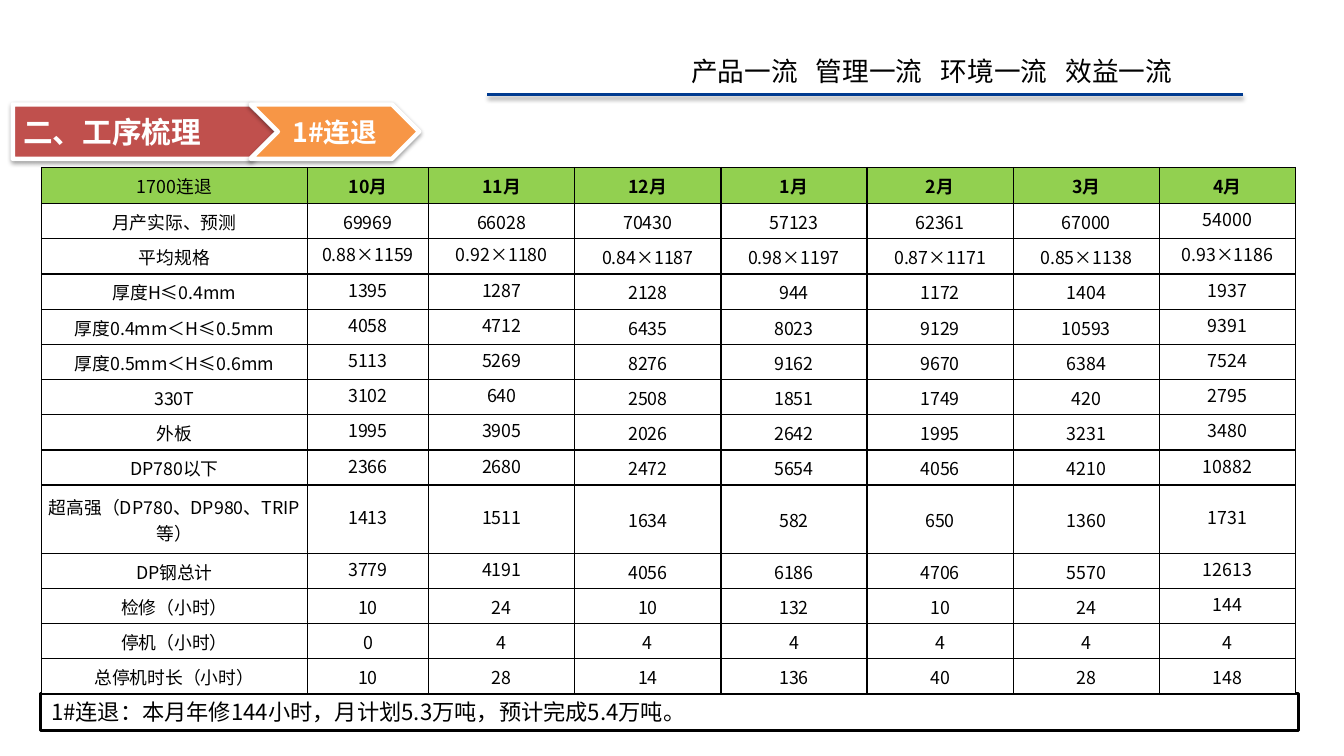
from lxml.etree import SubElement
from pptx import Presentation
from pptx.dml.color import RGBColor
from pptx.enum.shapes import MSO_CONNECTOR as Connector, MSO_SHAPE as Shape
from pptx.enum.text import MSO_ANCHOR as Anchor, MSO_AUTO_SIZE as AutoSize, PP_ALIGN as Align
from pptx.oxml.ns import qn
from pptx.util import Inches, Pt

FONT = "Noto Sans CJK SC"
COLORS = {"black": "000000", "white": "FFFFFF", "rule": "003B90",
          "section": "C0504D", "unit": "F79646", "header": "92D050"}

SLOGANS = ["产品一流", "管理一流", "环境一流", "效益一流"]
SLOGAN_PITCH = 1.17
SUMMARY = "1#连退：本月年修144小时，月计划5.3万吨，预计完成5.4万吨。"

BANNERS = [
    ("二、工序梳理", Shape.PENTAGON, 0.12, 2.48, "section", 20, Align.LEFT),
    ("1#连退", Shape.CHEVRON, 2.35, 1.58, "unit", 18, Align.CENTER),
]

MONTHLY = [
    ("1700连退", "10月", "11月", "12月", "1月", "2月", "3月", "4月"),
    ("月产实际、预测", 69969, 66028, 70430, 57123, 62361, 67000, 54000),
    ("平均规格", "0.88×1159", "0.92×1180", "0.84×1187", "0.98×1197",
     "0.87×1171", "0.85×1138", "0.93×1186"),
    ("厚度H≤0.4mm", 1395, 1287, 2128, 944, 1172, 1404, 1937),
    ("厚度0.4mm＜H≤0.5mm", 4058, 4712, 6435, 8023, 9129, 10593, 9391),
    ("厚度0.5mm＜H≤0.6mm", 5113, 5269, 8276, 9162, 9670, 6384, 7524),
    ("330T", 3102, 640, 2508, 1851, 1749, 420, 2795),
    ("外板", 1995, 3905, 2026, 2642, 1995, 3231, 3480),
    ("DP780以下", 2366, 2680, 2472, 5654, 4056, 4210, 10882),
    ("超高强（DP780、DP980、TRIP等）", 1413, 1511, 1634, 582, 650, 1360, 1731),
    ("DP钢总计", 3779, 4191, 4056, 6186, 4706, 5570, 12613),
    ("检修（小时）", 10, 24, 10, 132, 10, 24, 144),
    ("停机（小时）", 0, 4, 4, 4, 4, 4, 4),
    ("总停机时长（小时）", 10, 28, 14, 136, 40, 28, 148),
]
COLUMN_WIDTHS = [2.49, 1.14] + [1.37] * 5 + [1.28]
ROW_HEIGHTS = [0.34] + [0.33] * 8 + [0.64] + [0.33] * 4
RAISED_ROWS = {1: range(2, 11), 2: range(2, 11), 7: range(1, 12)}


def rgb(name):
    return RGBColor.from_string(COLORS[name])


def write(frame, text, size, color="black", bold=False, align=Align.LEFT):
    paragraph = frame.paragraphs[0]
    paragraph.text = str(text)
    paragraph.alignment = align
    font = paragraph.font
    font.name, font.size, font.bold = FONT, Pt(size), bold
    font.color.rgb = rgb(color)
    east_asian = SubElement(paragraph._p.pPr.find(qn("a:defRPr")), qn("a:ea"))
    east_asian.set("typeface", FONT)


def add_shadow(shape):
    effects = SubElement(shape._element.spPr, qn("a:effectLst"))
    shadow = SubElement(effects, qn("a:outerShdw"), blurRad=str(Pt(3.1)),
                        dist=str(Pt(1.6)), dir="5400000", rotWithShape="0")
    color = SubElement(shadow, qn("a:srgbClr"), val=COLORS["black"])
    SubElement(color, qn("a:alpha"), val="38000")


def add_borders(cell):
    properties = cell._tc.get_or_add_tcPr()
    for side in ("lnL", "lnR", "lnT", "lnB"):
        border = SubElement(properties, qn(f"a:{side}"), w=str(Pt(1)))
        fill = SubElement(border, qn("a:solidFill"))
        SubElement(fill, qn("a:srgbClr"), val=COLORS["black"])


def add_slogans(slide):
    title = slide.shapes.title
    title.left, title.top = Inches(6.38), Inches(0.46)
    title.width, title.height = Inches(5.77), Inches(0.4)
    frame = title.text_frame
    frame.auto_size = AutoSize.NONE
    frame.vertical_anchor = Anchor.TOP
    tabs = SubElement(frame.paragraphs[0]._p.get_or_add_pPr(), qn("a:tabLst"))
    for i in range(1, len(SLOGANS)):
        SubElement(tabs, qn("a:tab"), pos=str(Inches(SLOGAN_PITCH * i)), algn="l")
    write(frame, "\t".join(SLOGANS), 18)

    rule = slide.shapes.add_connector(Connector.STRAIGHT, Inches(4.57), Inches(0.89),
                                      Inches(11.65), Inches(0.89))
    rule.line.color.rgb = rgb("rule")
    rule.line.width = Pt(2)
    add_shadow(rule)


def add_banners(slide):
    for text, outline, left, width, fill, size, align in BANNERS:
        banner = slide.shapes.add_shape(outline, Inches(left), Inches(0.98),
                                        Inches(width), Inches(0.51))
        banner.fill.solid()
        banner.fill.fore_color.rgb = rgb(fill)
        banner.line.color.rgb = rgb("white")
        banner.line.width = Pt(3)
        add_shadow(banner)
        banner.text_frame.vertical_anchor = Anchor.MIDDLE
        write(banner.text_frame, text, size, "white", True, align)


def add_summary(slide):
    summary = slide.shapes.add_shape(Shape.RECTANGLE, Inches(0.38), Inches(6.5),
                                     Inches(11.79), Inches(0.35))
    summary.shadow.inherit = False
    summary.fill.background()
    summary.line.color.rgb = rgb("black")
    summary.line.width = Pt(2)
    summary.text_frame.vertical_anchor = Anchor.TOP
    write(summary.text_frame, SUMMARY, 15)


def add_monthly_table(slide):
    table = slide.shapes.add_table(
        len(MONTHLY), len(COLUMN_WIDTHS), Inches(0.39), Inches(1.57),
        Inches(sum(COLUMN_WIDTHS)), Inches(sum(ROW_HEIGHTS))).table
    for column, width in zip(table.columns, COLUMN_WIDTHS):
        column.width = Inches(width)
    for row, height in zip(table.rows, ROW_HEIGHTS):
        row.height = Inches(height)
    for r, values in enumerate(MONTHLY):
        for c, value in enumerate(values):
            cell = table.cell(r, c)
            add_borders(cell)
            cell.fill.solid()
            cell.fill.fore_color.rgb = rgb("white" if r else "header")
            cell.vertical_anchor = Anchor.MIDDLE
            cell.margin_left = cell.margin_right = cell.margin_top = Inches(0.01)
            cell.margin_bottom = Inches(0.05 if r in RAISED_ROWS.get(c, ()) else 0)
            write(cell.text_frame, value, 12, bold=r == 0 and c > 0, align=Align.CENTER)


def main():
    deck = Presentation()
    deck.slide_width, deck.slide_height = Inches(12.6), Inches(7.09)
    slide = deck.slides.add_slide(deck.slide_layouts[5])
    add_slogans(slide)
    add_banners(slide)
    add_summary(slide)
    add_monthly_table(slide)
    deck.save("out.pptx")


if __name__ == "__main__":
    main()
